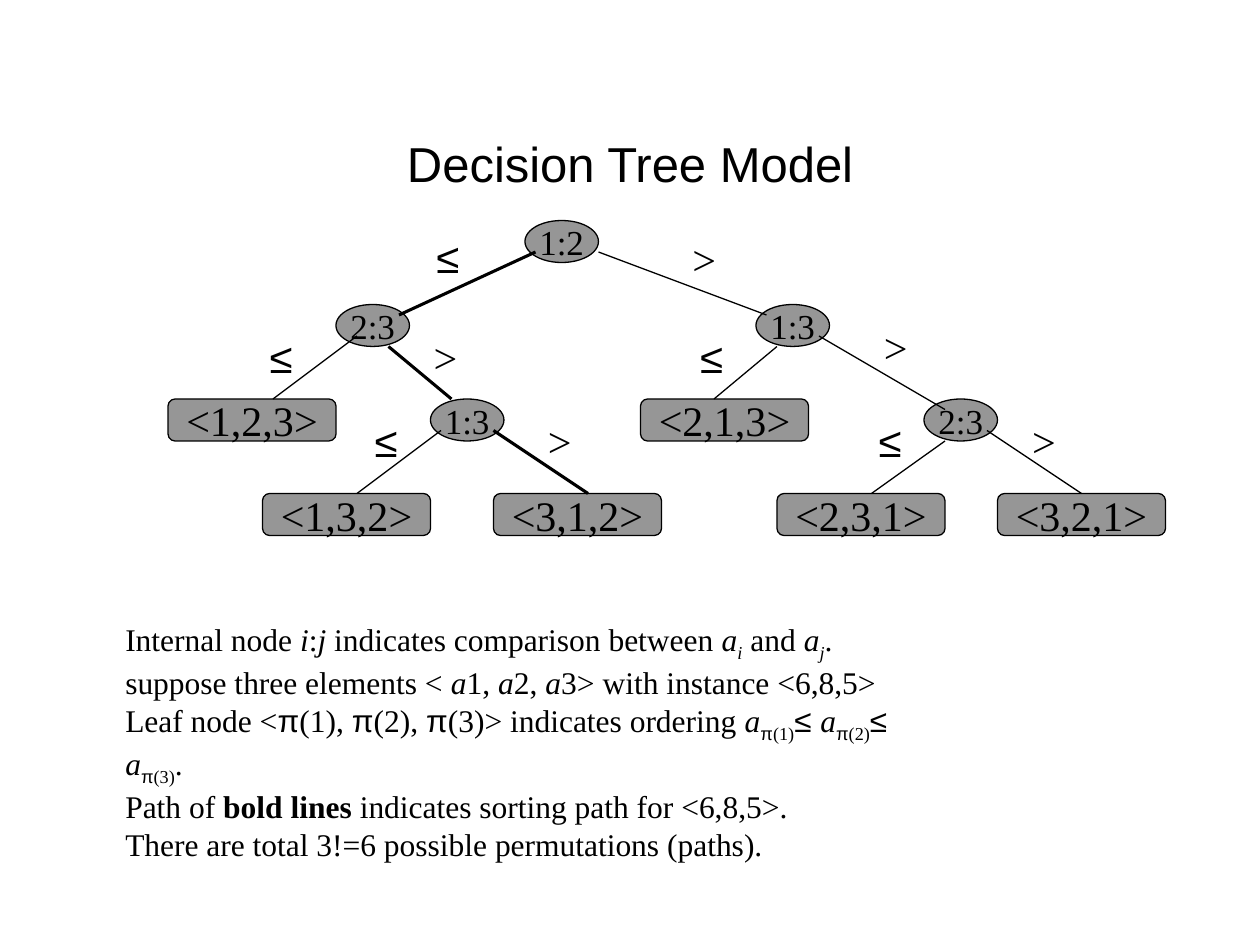
from lxml.etree import SubElement
from pptx import Presentation
from pptx.dml.color import RGBColor
from pptx.enum.shapes import MSO_CONNECTOR, MSO_SHAPE
from pptx.enum.text import MSO_ANCHOR, PP_ALIGN
from pptx.oxml.ns import qn
from pptx.util import Pt

PX = 9525
COLORS = {"ink": "000000", "node": "969696"}
SERIF, SANS = "Times New Roman", "Arial"
ITALIC = {"italic": True}
BOLD = {"bold": True}
GREEK = {"name": SANS}
SUB = {"subscript": True}
ITALIC_SUB = ITALIC | SUB
GREEK_SUB = GREEK | SUB

ROWS = [168, 232, 304, 376]
COMPARISONS = [(400, 0, "1:2"), (256, 1, "2:3"), (576, 1, "1:3"), (328, 2, "1:3"), (704, 2, "2:3")]
LEAVES = [
    (128, 2, "<1,2,3>"), (488, 2, "<2,1,3>"), (200, 3, "<1,3,2>"),
    (376, 3, "<3,1,2>"), (592, 3, "<2,3,1>"), (760, 3, "<3,2,1>"),
]
THIN_BRANCHES = [
    (456, 192, 584, 240), (624, 256, 720, 312), (752, 328, 824, 376), (592, 264, 544, 304),
    (720, 336, 664, 376), (272, 256, 208, 304), (336, 328, 272, 376),
]
SORTING_PATH = [(408, 192, 304, 240), (296, 264, 344, 304), (376, 328, 448, 376)]
AT_MOST = [(323, 172), (196, 248), (524, 248), (660, 312), (276, 312)]
GREATER = [(518, 173), (321, 248), (408, 312), (664, 240), (777, 312)]

NOTES = [
    [("Internal node ", {}), ("i", ITALIC), (":", {}), ("j ", ITALIC),
     ("indicates comparison between ", {}), ("a", ITALIC), ("i", ITALIC_SUB),
     (" and ", {}), ("a", ITALIC), ("j", ITALIC_SUB), (".", {})],
    [("suppose three elements < ", {}), ("a", ITALIC), ("1, ", {}), ("a", ITALIC),
     ("2, ", {}), ("a", ITALIC), ("3> with instance <6,8,5>", {})],
    [("Leaf node <", {}), ("π", GREEK), ("(1), ", {}), ("π", GREEK), ("(2), ", {}),
     ("π", GREEK), ("(3)> indicates ordering ", {}),
     ("a", ITALIC), ("π", GREEK_SUB), ("(1)", SUB), ("≤ ", GREEK),
     ("a", ITALIC), ("π", GREEK_SUB), ("(2)", SUB), ("≤ ", GREEK),
     ("a", ITALIC), ("π", GREEK_SUB), ("(3)", SUB), (".", {})],
    [("Path of ", {}), ("bold lines", BOLD), (" indicates sorting path for <6,8,5>.", {})],
    [("There are total 3!=6 possible permutations (paths).", {})],
]


class TreeSlide:
    """Draws the parts of a decision tree on one slide."""

    def __init__(self, slide):
        self.slide = slide

    def fill_frame(self, frame, paragraphs, size, font=SERIF, align=PP_ALIGN.LEFT,
                   anchor=MSO_ANCHOR.TOP, wrap=False):
        frame.word_wrap = wrap
        frame.vertical_anchor = anchor
        for index, runs in enumerate(paragraphs):
            paragraph = frame.add_paragraph() if index else frame.paragraphs[0]
            paragraph.alignment = align
            for text, style in runs:
                run = paragraph.add_run()
                run.text = text
                values = {"name": font, "size": Pt(size)} | style
                if values.pop("subscript", False):
                    run._r.get_or_add_rPr().set("baseline", "-25000")
                for name, value in values.items():
                    setattr(run.font, name, value)
                run.font.color.rgb = RGBColor.from_string(COLORS["ink"])

    def text(self, left, top, width, height, paragraphs, size, **options):
        box = self.slide.shapes.add_textbox(left * PX, top * PX, width * PX, height * PX)
        self.fill_frame(box.text_frame, paragraphs, size, **options)

    def node(self, kind, left, row, width, label, size):
        shape = self.slide.shapes.add_shape(kind, left * PX, ROWS[row] * PX, width * PX, 32 * PX)
        shape.shadow.inherit = False
        shape.fill.solid()
        shape.fill.fore_color.rgb = RGBColor.from_string(COLORS["node"])
        shape.line.color.rgb = RGBColor.from_string(COLORS["ink"])
        shape.line.width = Pt(0.75)
        self.fill_frame(shape.text_frame, [[(label, {})]], size,
                        align=PP_ALIGN.CENTER, anchor=MSO_ANCHOR.MIDDLE)

    def branch(self, ends, weight):
        line = self.slide.shapes.add_connector(MSO_CONNECTOR.STRAIGHT, *(end * PX for end in ends))
        line.line.color.rgb = RGBColor.from_string(COLORS["ink"])
        line.line.width = Pt(weight)
        SubElement(line._element.spPr, qn("a:effectLst"))


def main():
    presentation = Presentation()
    presentation.slide_width, presentation.slide_height = 960 * PX, 720 * PX
    tree = TreeSlide(presentation.slides.add_slide(presentation.slide_layouts[6]))
    tree.text(72, 64, 816, 120, [[("Decision Tree Model", {})]], 28, font=SANS,
              align=PP_ALIGN.CENTER, anchor=MSO_ANCHOR.MIDDLE, wrap=True)
    for left, row, label in COMPARISONS:
        tree.node(MSO_SHAPE.OVAL, left, row, 56, label, 20)
    for left, row, label in LEAVES:
        tree.node(MSO_SHAPE.FLOWCHART_ALTERNATE_PROCESS, left, row, 128, label, 24)
    for weight, branches in ((0.75, THIN_BRANCHES), (1.75, SORTING_PATH)):
        for ends in branches:
            tree.branch(ends, weight)
    for sign, font, width, places in (("≤", SANS, 44, AT_MOST), (">", SERIF, 37, GREATER)):
        for left, top in places:
            tree.text(left, top, width, 48, [[(sign, {})]], 24, font=font)
    tree.text(86, 468, 644, 161, NOTES, 18, wrap=True)
    presentation.save("out.pptx")


if __name__ == "__main__":
    main()
